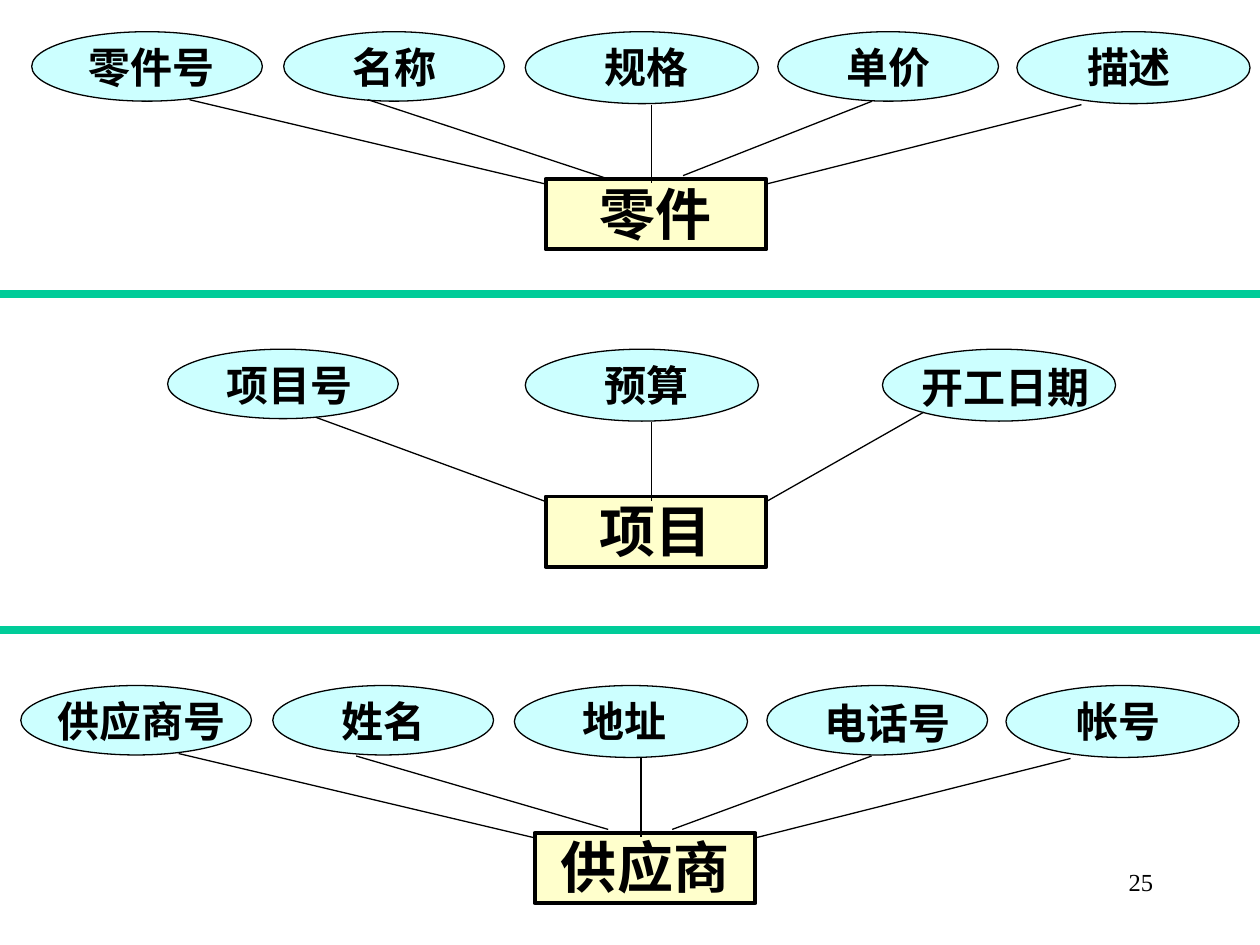
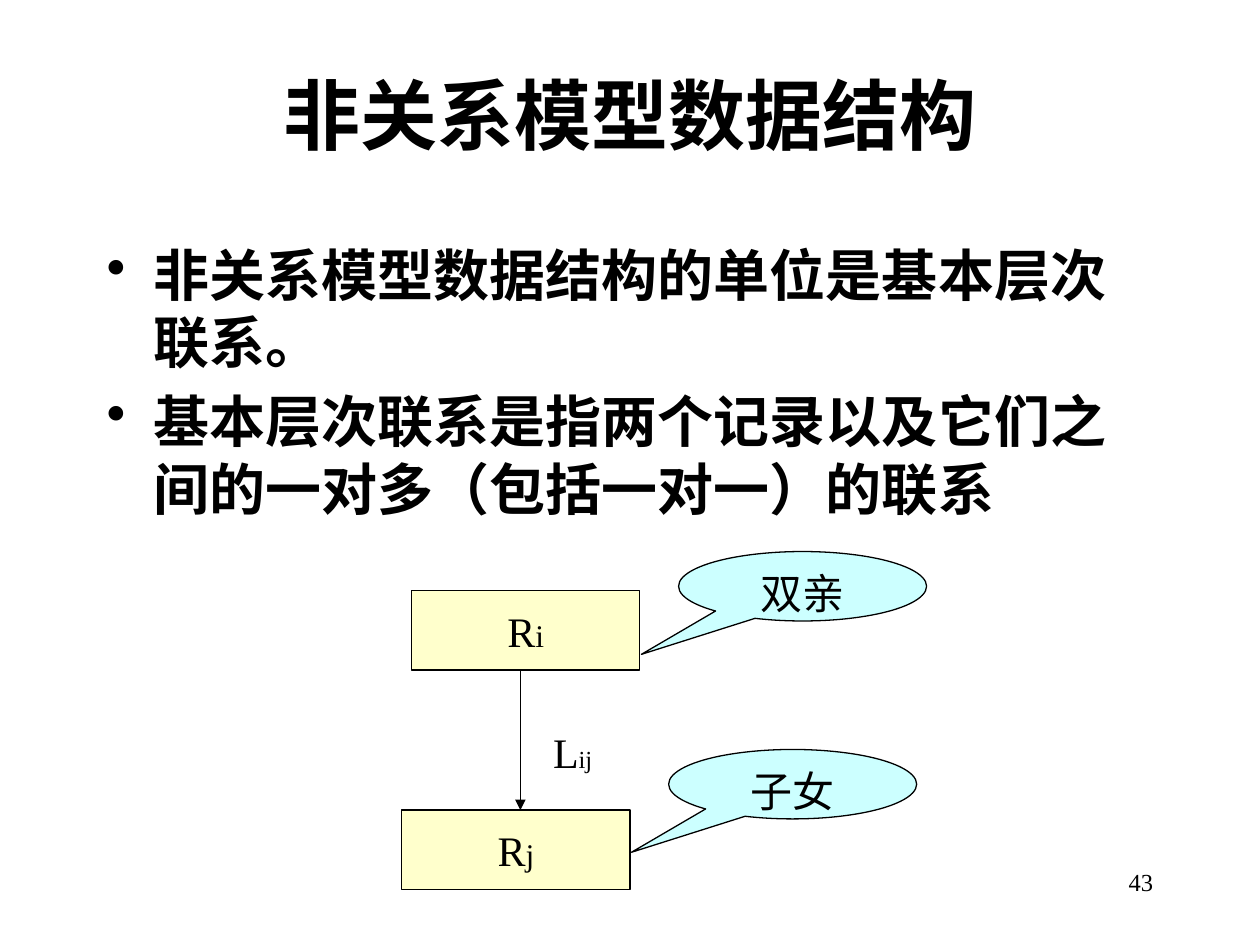
from dataclasses import dataclass, replace

from pptx import Presentation
from pptx.dml.color import RGBColor as Rgb
from pptx.enum.shapes import MSO_CONNECTOR as Conn, MSO_SHAPE as Kind
from pptx.enum.text import MSO_ANCHOR as Anchor, MSO_AUTO_SIZE as Fit, PP_ALIGN as Align
from pptx.oxml.xmlchemy import OxmlElement as Elem
from pptx.util import Cm, Pt


@dataclass(frozen=True)
class Theme:
    font: str = "Times New Roman"
    ink: Rgb = Rgb(0, 0, 0)
    pale: Rgb = Rgb(0xCC, 0xFF, 0xFF)
    cream: Rgb = Rgb(0xFF, 0xFF, 0xCC)
    green: Rgb = Rgb(0x00, 0xCC, 0x99)
    title: int = 44
    large: int = 32
    label: int = 24
    sub: int = 18
    small: int = 14
    thin: float = 0.75
    thick: float = 2.25
    band: float = 4.5


THEME = Theme()


@dataclass(frozen=True)
class Slot:
    """Oval size and spoke ends in cm, relative to its region."""
    left: float
    width: float
    height: float
    start: tuple
    end: tuple


@dataclass(frozen=True)
class Trait:
    """An attribute: its slot, name, label width and label offset."""
    slot: Slot
    name: str
    width: float
    shift: float = 0
    drop: float = 0.2


# Shared oval slots
FAR_L = Slot(0, 4.65, 1.4, (3.18, 1.37), (10.36, 3.07))
NEAR_L = Slot(5.08, 4.45, 1.4, (6.78, 1.37), (11.63, 2.97))
MID = Slot(9.95, 4.7, 1.45, (12.5, 1.47), (12.5, 3.05))
NEAR_R = Slot(15.04, 4.45, 1.4, (16.94, 1.4), (13.13, 2.9))
FAR_R = Slot(19.86, 4.7, 1.45, (21.16, 1.47), (14.81, 3.07))

# Region left, region top, entity name, attributes
REGIONS = [
    (0.64, 0.64, "零件", [
        Trait(FAR_L, "零件号", 3.18, 0.1),
        Trait(NEAR_L, "名称", 1.9),
        Trait(MID, "规格", 3.6, 0.09),
        Trait(NEAR_R, "单价", 1.9),
        Trait(FAR_R, "描述", 3.6, -0.09)]),
    (0.64, 7.04, "项目", [
        Trait(replace(FAR_L, left=2.74, start=(5.72, 1.37)), "项目号", 3.18, 0.13),
        Trait(MID, "预算", 3.6, 0.09),
        Trait(replace(FAR_R, left=17.15, start=(17.98, 1.27)),
              "开工日期", 3.6, 0.14, 0.25)]),
    (0.42, 13.82, "供应商", [
        Trait(FAR_L, "供应商号", 3.6, 0.11),
        Trait(replace(NEAR_L, start=(6.76, 1.42), end=(11.84, 2.9)), "姓名", 1.9),
        Trait(MID, "地址", 3.6, -0.13),
        Trait(replace(NEAR_R, start=(17.15, 1.42)), "电话号", 2.75, 0.2, 0.25),
        Trait(FAR_R, "帐号", 3.6, -0.09)]),
]


def write(frame, text, size, bold=False, align=Align.CENTER, anchor=Anchor.TOP,
          inset=None, sub="", small=THEME.sub):
    """Fill a frame with paragraphs, and an optional smaller ending."""
    frame.text = text
    frame.word_wrap = True
    frame.auto_size = Fit.NONE
    frame.vertical_anchor = anchor
    if inset is not None:
        frame.margin_left = frame.margin_right = Cm(inset)
        frame.margin_top = frame.margin_bottom = Cm(inset)
    if sub:
        frame.paragraphs[0].add_run().text = sub
    for para in frame.paragraphs:
        para.alignment = align
        for nth, run in enumerate(para.runs):
            run.font.name = THEME.font
            run.font.size = Pt(small if nth else size)
            run.font.bold = bold
            run.font.color.rgb = THEME.ink
    return frame


def add_text(slide, left, top, width, height, text, size, **style):
    box = slide.shapes.add_textbox(Cm(left), Cm(top), Cm(width), Cm(height))
    return write(box.text_frame, text, size, **style)


def add_form(slide, kind, left, top, width, height, fill, weight=THEME.thin):
    form = slide.shapes.add_shape(kind, Cm(left), Cm(top), Cm(width), Cm(height))
    form.shadow.inherit = False
    form.fill.solid()
    form.fill.fore_color.rgb = fill
    form.line.color.rgb = THEME.ink
    form.line.width = Pt(weight)
    return form


def add_line(slide, start, end, color=THEME.ink, weight=THEME.thin, arrow=False):
    line = slide.shapes.add_connector(
        Conn.STRAIGHT, *(Cm(value) for value in (*start, *end)))
    line.line.color.rgb = color
    line.line.width = Pt(weight)
    if arrow:
        tail = Elem("a:tailEnd")
        tail.set("type", "triangle")
        line.line._get_or_add_ln().append(tail)
    line._element.spPr.append(Elem("a:effectLst"))


def add_number(slide, number):
    add_text(slide, 18.2, 17.35, 5.3, 1.27, number, THEME.small, align=Align.RIGHT)


def add_entity(slide, left, top, name, traits):
    # Entity box
    box = add_form(slide, Kind.RECTANGLE, left + 10.36, top + 2.97, 4.45, 1.42,
                   THEME.cream, THEME.thick)
    write(box.text_frame, name, THEME.large, bold=True, inset=0)
    # Attribute ovals, labels and spokes
    for trait in traits:
        slot = trait.slot
        add_form(slide, Kind.OVAL, left + slot.left, top, slot.width, slot.height,
                 THEME.pale)
        edge = left + slot.left + (slot.width - trait.width) / 2 + trait.shift
        add_text(slide, edge, top + trait.drop, trait.width, 1.02, trait.name,
                 THEME.label, bold=True, inset=0)
        start, end = ((left + x, top + y) for x, y in (slot.start, slot.end))
        add_line(slide, start, end)


def add_record(slide, left, top, letter, role, rise):
    # Record box
    box = add_form(slide, Kind.RECTANGLE, left, top, 4.6, 1.6, THEME.cream)
    frame = write(box.text_frame, "R", THEME.label, anchor=Anchor.MIDDLE, sub=letter)
    frame.word_wrap = False
    # Role callout
    note = add_form(slide, Kind.OVAL_CALLOUT, left + 5.38, top - rise, 5, 1.4,
                    THEME.pale)
    note.adjustments[0], note.adjustments[1] = -0.65, 0.98
    write(note.text_frame, role, THEME.label)


def add_bullets(slide, left, top, width, height, items):
    frame = add_text(slide, left, top, width, height, "\n".join(items), THEME.large,
                     bold=True, align=Align.LEFT)
    for nth, para in enumerate(frame.paragraphs):
        props = para._p.get_or_add_pPr()
        props.set("marL", str(Cm(0.95)))
        props.set("indent", str(-Cm(0.95)))
        mark = Elem("a:buChar")
        mark.set("char", "•")
        props.append(mark)
        if nth:
            para.space_before = Pt(7)


def build_entities(deck):
    slide = deck.slides.add_slide(deck.slide_layouts[6])
    add_number(slide, "25")
    for region in REGIONS:
        add_entity(slide, *region)
    # Region dividers
    for y in (5.93, 12.7):
        add_line(slide, (0, y), (25.4, y), THEME.green, THEME.band)


def build_model(deck):
    slide = deck.slides.add_slide(deck.slide_layouts[5])
    add_number(slide, "43")
    # Title
    title = slide.shapes.title
    title.left, title.top = Cm(1.9), Cm(0.71)
    title.width, title.height = Cm(21.6), Cm(3.18)
    write(title.text_frame, "非关系模型数据结构", THEME.title, bold=True,
          anchor=Anchor.MIDDLE)
    # Body
    add_bullets(slide, 1.9, 4.72, 21.6, 11.43, [
        "非关系模型数据结构的单位是基本层次联系。",
        "基本层次联系是指两个记录以及它们之间的一对多（包括一对一）的联系"])
    # Linked records
    add_record(slide, 8.3, 11.91, "i", "双亲", 0.79)
    add_record(slide, 8.1, 16.33, "j", "子女", 1.22)
    add_line(slide, (10.49, 13.51), (10.49, 16.33), arrow=True)
    add_text(slide, 10.9, 14.53, 2.39, 1.27, "L", THEME.label, align=Align.LEFT,
             sub="ij", small=THEME.small)


def main():
    deck = Presentation()
    deck.slide_width, deck.slide_height = Cm(25.4), Cm(19.05)
    build_entities(deck)
    build_model(deck)
    deck.save("out.pptx")


if __name__ == "__main__":
    main()
